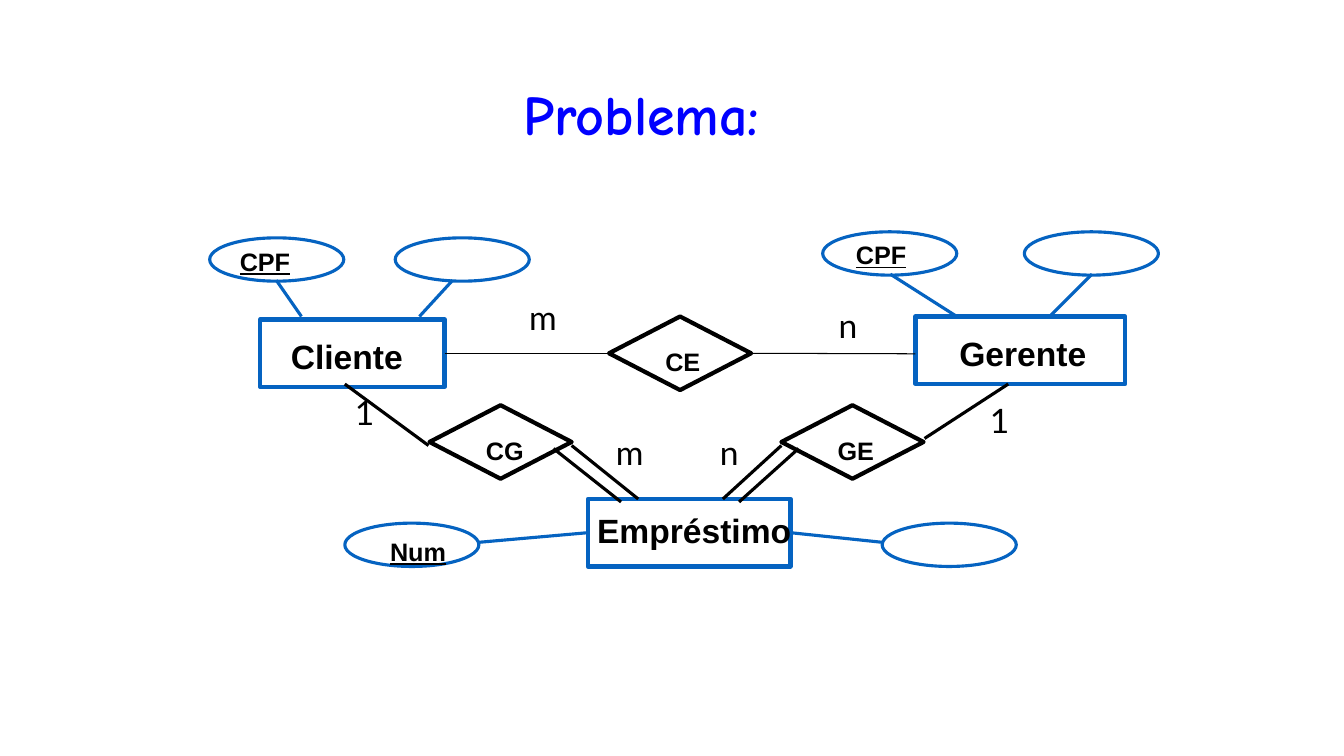
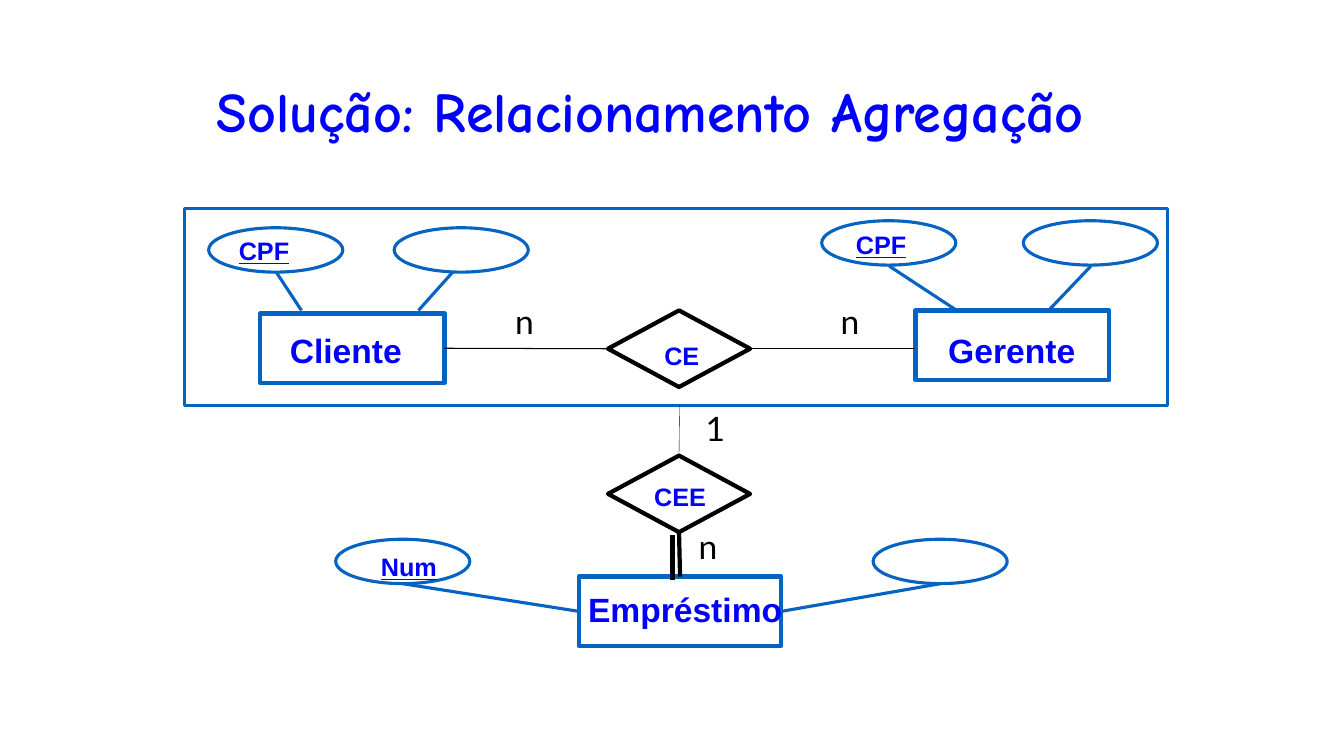
import pptx
import pptx.util
import pptx.dml.color
import pptx.enum.shapes
import pptx.enum.text
import pptx.oxml.ns
import lxml.etree

Inches, Pt = pptx.util.Inches, pptx.util.Pt
SHAPE = pptx.enum.shapes.MSO_SHAPE
ALIGN = pptx.enum.text.PP_ALIGN
ANCHOR = pptx.enum.text.MSO_ANCHOR

COLORS = {"outline": "0563C1", "title": "0000FF", "ink": "000000"}
TOP, LEFT, BOTTOM, RIGHT = range(4)

# kind: preset shape, default width, outline colour, outline points
KINDS = {
    "entity": (SHAPE.RECTANGLE, 2.01, "outline", 3),
    "attribute": (SHAPE.OVAL, 1.33, "outline", 2.25),
    "relation": (SHAPE.DIAMOND, 1.41, "ink", 3),
    "aggregate": (SHAPE.RECTANGLE, 9.75, "outline", 2.25),
}
# kind: font, points, bold, underline, alignment
LABELS = {
    "title": ("Comic Neue", 40, True, False, ALIGN.CENTER),
    "entity": ("Arial", 24, True, False, ALIGN.CENTER),
    "attribute": ("Arial", 18, True, True, ALIGN.LEFT),
    "relation": ("Arial", 18, True, False, ALIGN.LEFT),
    "cardinality": ("Lato", 24, False, False, ALIGN.LEFT),
}
LABEL_WIDTHS = {
    "Cliente": 1.32, "Gerente": 1.47, "Empréstimo": 2.15, "CPF": 0.7, "Num": 0.76,
    "CE": 0.55, "CG": 0.58, "GE": 0.56, "CEE": 0.72, "m": 0.48, "n": 0.39, "1": 0.38,
}
# line style: colour, points
LINES = {
    "attribute": ("outline", 2.25),
    "thin": ("ink", 0.75),
    "hairline": ("ink", 0.25),
    "medium": ("ink", 2.25),
    "thick": ("ink", 3),
}

# nodes: kind -> (left, top[, width]) and, if labelled, text with its offset.
# lines: an end is a point, or a node's label and one of its sides.
SLIDES = [
    {
        "title": ("Problema:", 1.82, 0.58, 0.92),
        "label_color": "ink",
        "heights": {"entity": 0.67, "attribute": 0.43, "relation": 0.73},
        "nodes": {
            "entity": [
                ((2.58, 3.17, 1.83), ("Cliente", 0.2, 0.11)),
                ((9.08, 3.14, 2.08), ("Gerente", 0.33, 0.11)),
                ((5.83, 4.95), ("Empréstimo", -0.02, 0.06)),
            ],
            "attribute": [
                ((2.08, 2.36), ("CPF", 0.2, 0.03)),
                ((3.92, 2.36), None),
                ((8.16, 2.3), ("CPF", 0.23, 0.03)),
                ((10.16, 2.3), None),
                ((3.42, 5.19), ("Num", 0.35, 0.08)),
                ((8.75, 5.19), None),
            ],
            "relation": [
                ((6.04, 3.14), ("CE", 0.46, 0.25)),
                ((4.26, 4.02), ("CG", 0.46, 0.25)),
                ((7.75, 4.02), ("GE", 0.46, 0.25)),
            ],
        },
        "lines": {
            "attribute": [
                ((2.74, 2.78), (2.99, 3.14)),
                ((4.49, 2.78), (4.16, 3.14)),
                ((8.83, 2.72), (9.49, 3.14)),
                ((10.83, 2.72), (10.41, 3.14)),
                ((4.75, 5.38), ("Empréstimo", LEFT)),
                ((8.75, 5.38), ("Empréstimo", RIGHT)),
            ],
            "thin": [
                (("Cliente", RIGHT), ("CE", LEFT)),
                (("CE", RIGHT), (9.08, 3.51)),
            ],
            "medium": [
                ((3.42, 3.81), (4.25, 4.42)),
                ((5.67, 4.42), (6.33, 4.95)),
                ((5.49, 4.45), (6.16, 4.98)),
                ((9.17, 4.35), (10, 3.81)),
                ((7.17, 4.95), (7.75, 4.42)),
                ((7.33, 4.98), (7.92, 4.45)),
            ],
        },
        "cardinalities": [
            ("m", 5.15, 2.9), ("n", 8.22, 2.98), ("1", 3.42, 3.84),
            ("m", 6.01, 4.24), ("n", 7.04, 4.24), ("1", 9.72, 3.92),
        ],
    },
    {
        "title": ("Solução: Relacionamento Agregação", 1.91, 0.78, 0.69),
        "label_color": "title",
        "heights": {"entity": 0.69, "attribute": 0.44, "relation": 0.76, "aggregate": 1.95},
        "nodes": {
            "aggregate": [((1.83, 2.07), None)],
            "entity": [
                ((2.58, 3.11, 1.83), ("Cliente", 0.19, 0.11)),
                ((9.08, 3.08, 1.92), ("Gerente", 0.22, 0.14)),
                ((5.74, 5.72), ("Empréstimo", -0.02, 0.07)),
            ],
            "attribute": [
                ((2.07, 2.26), ("CPF", 0.2, 0.03)),
                ((3.91, 2.26), None),
                ((8.15, 2.19), ("CPF", 0.24, 0.04)),
                ((10.15, 2.19), None),
                ((3.33, 5.35), ("Num", 0.35, 0.07)),
                ((8.66, 5.35), None),
            ],
            "relation": [
                ((6.03, 3.08), ("CE", 0.46, 0.25)),
                ((6.03, 4.52), ("CEE", 0.36, 0.21)),
            ],
        },
        "lines": {
            "attribute": [
                ((2.74, 2.7), (2.99, 3.08)),
                ((4.49, 2.7), (4.15, 3.08)),
                ((8.82, 2.64), (9.49, 3.08)),
                ((10.82, 2.64), (10.4, 3.08)),
                ((3.99, 5.79), ("Empréstimo", LEFT)),
                ((9.33, 5.79), ("Empréstimo", RIGHT)),
            ],
            "thin": [
                (("Cliente", RIGHT), ("CE", LEFT)),
                (("CE", RIGHT), (9.08, 3.46)),
            ],
            "hairline": [((6.74, 4.02), ("CEE", TOP))],
            "thick": [
                (("CEE", BOTTOM), ("Empréstimo", TOP)),
                ((6.67, 5.31), (6.67, 5.75)),
            ],
        },
        "cardinalities": [
            ("n", 5.01, 2.94), ("n", 8.24, 2.94), ("1", 6.9, 4), ("n", 6.83, 5.17),
        ],
    },
]


def rgb(color):
    return pptx.dml.color.RGBColor.from_string(COLORS[color])


def set_line(line, color, points):
    line.color.rgb = rgb(color)
    line.width = Pt(points)


def add_label(slide, text, kind, color, left, top, width, height):
    font_name, points, bold, underline, alignment = LABELS[kind]
    box = slide.shapes.add_textbox(*map(Inches, (left, top, width, height)))
    frame = box.text_frame
    frame.word_wrap = kind == "title"
    frame.vertical_anchor = ANCHOR.BOTTOM if kind == "title" else ANCHOR.TOP
    paragraph = frame.paragraphs[0]
    paragraph.text = text
    paragraph.alignment = alignment
    font = paragraph.font
    font.name, font.size, font.bold = font_name, Pt(points), bold
    font.underline = underline
    font.color.rgb = rgb(color)


def add_node(slide, kind, place, height):
    preset, default_width, color, points = KINDS[kind]
    left, top, *width = place
    size = (width[0] if width else default_width, height)
    node = slide.shapes.add_shape(preset, *map(Inches, (left, top, *size)))
    node.shadow.inherit = False
    node.fill.background()
    set_line(node.line, color, points)
    return node


def add_link(slide, nodes, start, end, style):
    """Draw a straight line, joining each end that names a node."""
    points = [(0, 0) if finish[0] in nodes else finish for finish in (start, end)]
    link = slide.shapes.add_connector(
        pptx.enum.shapes.MSO_CONNECTOR.STRAIGHT,
        *(Inches(value) for point in points for value in point))
    for finish, connect in ((start, link.begin_connect), (end, link.end_connect)):
        if finish[0] in nodes:
            connect(nodes[finish[0]], finish[1])
    set_line(link.line, *LINES[style])
    lxml.etree.SubElement(link.element.spPr, pptx.oxml.ns.qn("a:effectLst"))


def build_diagram(slide, diagram):
    text, left, top, height = diagram["title"]
    add_label(slide, text, "title", "title", left, top, 9.08, height)
    nodes = {}
    for kind, entries in diagram["nodes"].items():
        for place, label in entries:
            node = add_node(slide, kind, place, diagram["heights"][kind])
            if label:
                text, dx, dy = label
                nodes[text] = node
                add_label(slide, text, kind, diagram["label_color"], place[0] + dx,
                          place[1] + dy, LABEL_WIDTHS[text],
                          0.5 if kind == "entity" else 0.4)
    for style, links in diagram["lines"].items():
        for start, end in links:
            add_link(slide, nodes, start, end, style)
    for text, left, top in diagram["cardinalities"]:
        add_label(slide, text, "cardinality", "ink", left, top, LABEL_WIDTHS[text], 0.5)


def main():
    deck = pptx.Presentation()
    deck.slide_width, deck.slide_height = Inches(13.33), Inches(7.5)
    for diagram in SLIDES:
        build_diagram(deck.slides.add_slide(deck.slide_layouts[6]), diagram)
    deck.save("out.pptx")


if __name__ == "__main__":
    main()
